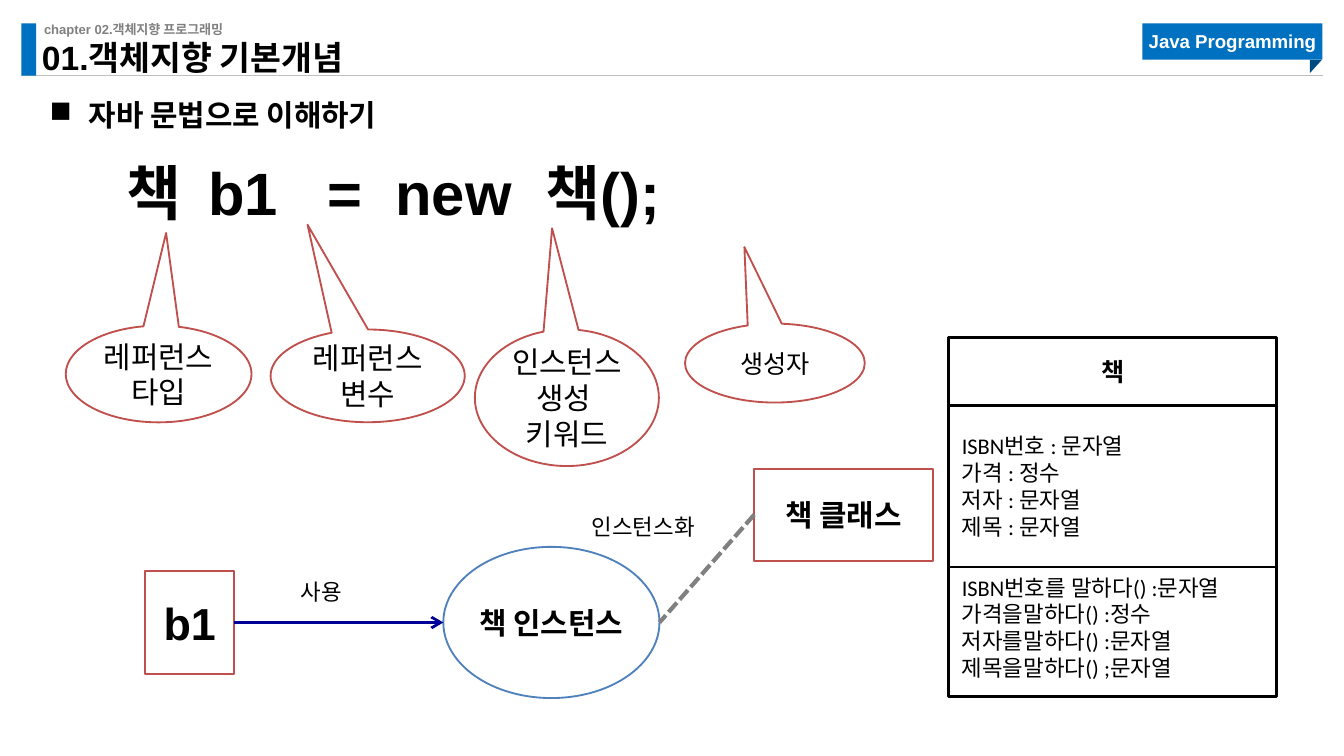
from lxml import etree
from pptx import Presentation
from pptx import util as u
from pptx.dml.color import RGBColor
from pptx.enum import dml, shapes, text
from pptx.oxml.ns import qn

COLORS = {
    "black": "000000", "white": "FFFFFF", "blue": "0070C0", "navy": "004A82",
    "gray": "808080", "rule": "BFBFBF", "red": "C0504D", "steel": "4F81BD",
    "arrow": "000099",
}
KOREAN = "Noto Sans CJK KR"
KINDS = shapes.MSO_SHAPE
MIDDLE = text.MSO_ANCHOR.MIDDLE
CENTER = text.PP_ALIGN.CENTER


def color(name):
    """Return the named colour."""
    return RGBColor.from_string(COLORS[name])


def write(box, lines, size, font="Arial", bold=True, ink="black", align=None,
          anchor=text.MSO_ANCHOR.TOP, wrap=True, inset=(0, 0), spacing=None):
    """Fill a shape with one paragraph per line of text."""
    frame = box.text_frame
    across, down = inset
    frame_format = {
        "word_wrap": wrap, "vertical_anchor": anchor,
        "margin_left": u.Pt(across), "margin_right": u.Pt(across),
        "margin_top": u.Pt(down), "margin_bottom": u.Pt(down),
    }
    for name, value in frame_format.items():
        setattr(frame, name, value)
    for index, line in enumerate(lines):
        para = frame.add_paragraph() if index else frame.paragraphs[0]
        para.alignment, para.line_spacing = align, spacing
        span = para.add_run()
        span.text = line
        for name, value in {"name": font, "size": u.Pt(size), "bold": bold}.items():
            setattr(span.font, name, value)
        span.font.color.rgb = color(ink)
        latin = span.font._element.find(qn("a:latin"))
        east = etree.Element(qn("a:ea"), typeface=KOREAN)
        latin.addnext(east)
    return frame


def add_text(page, place, lines, size, **style):
    """Add a text box."""
    box = page.shapes.add_textbox(*map(u.Pt, place))
    return write(box, lines, size, **style)


def add_box(page, kind, place, fill=None, line=None, width=1):
    """Add a preset shape with a plain fill and outline."""
    box = page.shapes.add_shape(kind, *map(u.Pt, place))
    box.shadow.inherit = False
    if fill:
        box.fill.solid()
        box.fill.fore_color.rgb = color(fill)
    else:
        box.fill.background()
    if line:
        box.line.color.rgb = color(line)
        box.line.width = u.Pt(width)
    else:
        box.line.fill.background()
    return box


def add_line(page, start, end, ink, width, dash=None, head=None):
    """Add a straight connector, dashed or with an arrowhead if asked."""
    link = page.shapes.add_connector(
        shapes.MSO_CONNECTOR.STRAIGHT, *map(u.Pt, start + end))
    link.line.color.rgb = color(ink)
    link.line.width = u.Pt(width)
    if dash:
        link.line.dash_style = dash
    if head:
        etree.SubElement(link.line._get_or_add_ln(), qn("a:tailEnd"), type=head)
    etree.SubElement(link._element.spPr, qn("a:effectLst"))


def add_bullet(para, indent, mark):
    """Give a paragraph a hanging bullet."""
    props = para._p.get_or_add_pPr()
    props.set("marL", str(u.Pt(indent)))
    props.set("indent", str(-u.Pt(indent)))
    etree.SubElement(props, qn("a:buChar"), char=mark)


def add_header(page):
    """Draw the chapter line, title, rule and course banner."""
    add_line(page, (11.5, 40.5), (708.5, 40.5), "rule", 0.5)
    add_box(page, KINDS.RECTANGLE, (11.5, 12.5, 7.9, 28), "blue")
    add_text(page, (23.6, 11.5, 232.6, 8.6), ["chapter 02.객체지향 프로그래밍"], 7, ink="gray")
    banner = add_box(page, KINDS.RECTANGLE, (612, 12.5, 96.5, 19.5), "blue")
    write(banner, ["Java Programming"], 10, ink="white", align=CENTER, anchor=MIDDLE)
    fold = add_box(page, KINDS.RIGHT_TRIANGLE, (701.3, 32.4, 7.2, 6.5), "navy")
    fold.rotation = 90
    add_text(page, (22.5, 25, 237.6, 16.6), ["01.객체지향 기본개념"], 18,
             anchor=text.MSO_ANCHOR.BOTTOM, spacing=0.9)


def add_statement(page):
    """Write the Java statement and the callouts naming its parts."""
    heading = add_text(page, (26.6, 42.5, 687, 23.8), ["자바 문법으로 이해하기"], 16, spacing=1.5)
    add_bullet(heading.paragraphs[0], 21, "■")
    add_text(page, (60.5, 80, 338.4, 46), ["책  b1   =  new  책();"], 32,
             wrap=False, inset=(7.2, 3.6))
    callouts = [
        ((35.3, 174.5, 99.5, 51.8), (0.04, -1.46), ["레퍼런스", "타입"], 16),
        ((145, 176.5, 104, 49.7), (-0.31, -1.63), ["레퍼런스", "변수"], 16),
        ((254.4, 176.5, 98.6, 73.2), (-0.08, -1.24), ["인스턴스", "생성 ", "키워드"], 16),
        ((367, 173.4, 96.3, 42.3), (-0.17, -1.47), ["생성자"], 13.5),
    ]
    for place, tip, lines, size in callouts:
        callout = add_box(page, KINDS.OVAL_CALLOUT, place, "white", "red")
        for index, value in enumerate(tip):
            callout.adjustments[index] = value
        write(callout, lines, size, font=KOREAN, bold=False, align=CENTER,
              anchor=MIDDLE, wrap=False)


def add_instance_diagram(page):
    """Draw the variable, the instance and the class with their links."""
    nodes = [
        (KINDS.RECTANGLE, (404, 251.2, 95.8, 49.2), "red", "책 클래스", 16),
        (KINDS.OVAL, (237.5, 293, 115.8, 81), "steel", "책 인스턴스", 16),
        (KINDS.RECTANGLE, (77.6, 306, 48, 55.2), "red", "b1", 24),
    ]
    for kind, place, line, label, size in nodes:
        node = add_box(page, kind, place, "white", line)
        write(node, [label], size, align=CENTER, anchor=MIDDLE, wrap=False)
    add_line(page, (125.6, 333.5), (237.5, 333.5), "arrow", 1.5, head="arrow")
    add_line(page, (404, 275.8), (353.3, 333.5), "gray", 2.25,
             dash=dml.MSO_LINE.SQUARE_DOT)
    for place, label in [((310, 271.4, 75, 21.6), "인스턴스화"),
                         ((154, 306, 39, 21.6), "사용")]:
        add_text(page, place, [label], 12, bold=False, wrap=False, inset=(7.2, 3.6))


def add_class_card(page):
    """Stack the name, fields and methods of the class."""
    top = 180.8
    name = {"bold": True, "align": CENTER, "anchor": MIDDLE}
    fields = {"bold": False, "anchor": MIDDLE}
    methods = {"bold": False}
    sections = [
        (36.6, ["책"], 13.5, name),
        (86.4, ["ISBN번호 : 문자열", "가격 : 정수", "저자 : 문자열", "제목 : 문자열"], 12, fields),
        (69.6, ["ISBN번호를 말하다() :문자열", "가격을말하다() :정수",
                "저자를말하다() :문자열", "제목을말하다() ;문자열"], 12, methods),
    ]
    for height, lines, size, style in sections:
        section = add_box(page, KINDS.RECTANGLE, (508.2, top, 175.8, height),
                          line="black", width=1.5)
        write(section, lines, size, font="Calibri", inset=(7.2, 3.6),
              **{"align": text.PP_ALIGN.LEFT, **style})
        top += height


def main():
    """Build the slide and save it."""
    deck = Presentation()
    deck.slide_width, deck.slide_height = u.Pt(720), u.Pt(405)
    page = deck.slides.add_slide(deck.slide_layouts[6])
    add_header(page)
    add_statement(page)
    add_instance_diagram(page)
    add_class_card(page)
    deck.save("out.pptx")


if __name__ == "__main__":
    main()
